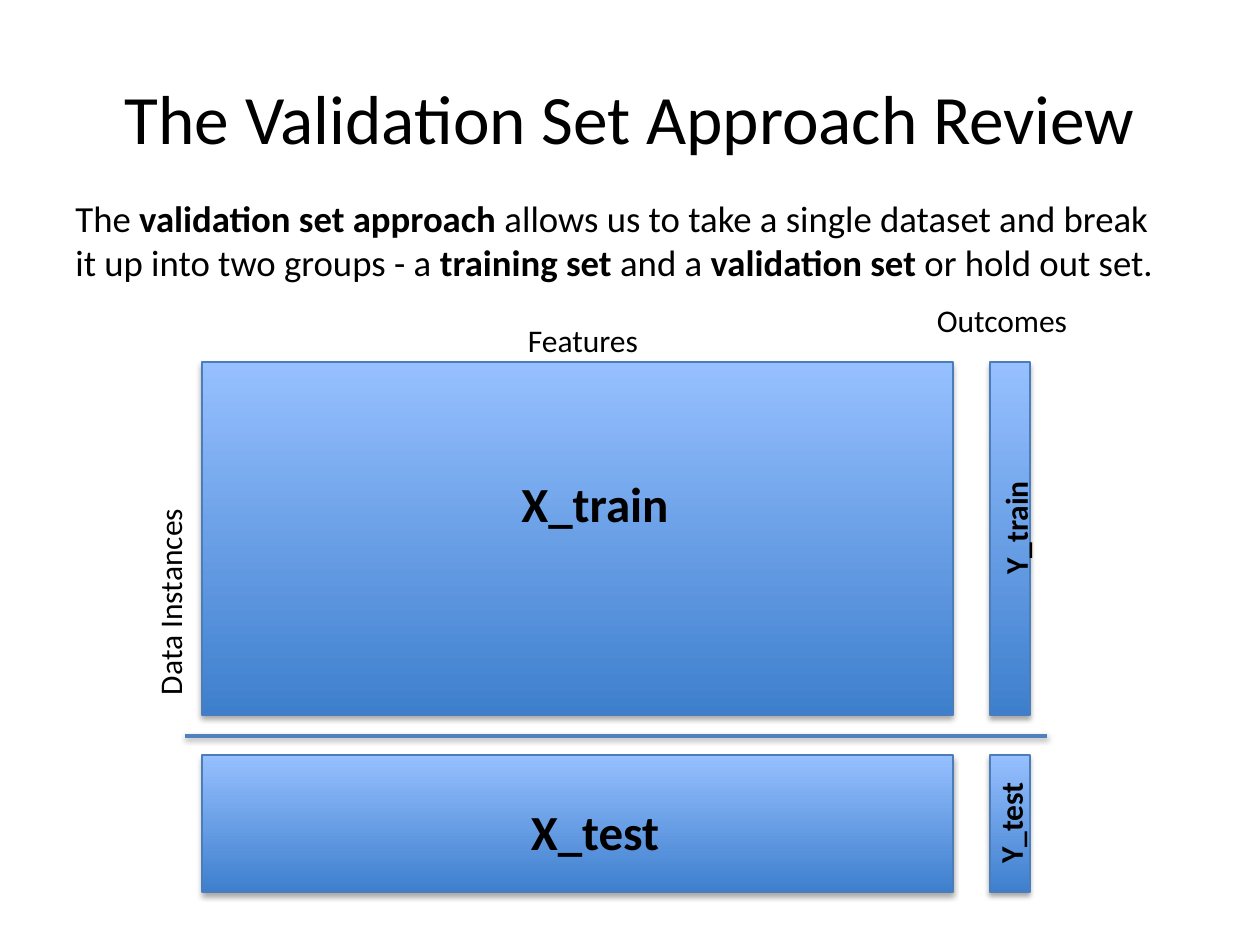
from dataclasses import dataclass

from lxml import etree
from pptx import Presentation
from pptx import util as u
from pptx.dml.color import RGBColor
from pptx.enum import shapes, text
from pptx.oxml.ns import qn

PX = u.Inches(1) / 126


def px(n):
    return u.Emu(round(n * PX))


@dataclass(frozen=True)
class Theme:
    font: str = "Calibri"
    ink: str = "000000"
    dark: str = "3E7FCD"
    light: str = "96C0FF"
    border: str = "4A7DBA"
    divider: str = "4F81BD"
    title: float = 39.6
    body: float = 21
    block: float = 28
    label: float = 18


class Deck:
    def __init__(self, theme):
        self.theme = theme
        self.prs = Presentation()
        self.prs.slide_width = px(1260)
        self.prs.slide_height = px(945)
        self.s = self.prs.slides.add_slide(self.prs.slide_layouts[6])

    def shadow(self, sp, distance, opacity):
        effects = etree.SubElement(sp._element.spPr, qn("a:effectLst"))
        outer = etree.SubElement(
            effects, qn("a:outerShdw"), blurRad=str(u.Pt(3.1)),
            dist=str(u.Pt(distance)), dir="5400000", rotWithShape="0")
        color = etree.SubElement(outer, qn("a:srgbClr"), val=self.theme.ink)
        etree.SubElement(color, qn("a:alpha"), val=str(opacity * 1000))

    def text(self, box, runs, size, bold=False, center=True, rotation=0,
             inset=6, anchor=text.MSO_ANCHOR.TOP,
             fit=text.MSO_AUTO_SIZE.SHAPE_TO_FIT_TEXT):
        sp = self.s.shapes.add_textbox(*map(px, box))
        sp.rotation = rotation
        tf = sp.text_frame
        tf.word_wrap = True
        tf.auto_size = fit
        tf.vertical_anchor = anchor
        tf.margin_left = tf.margin_right = u.Inches(0.1)
        tf.margin_top = tf.margin_bottom = px(inset)
        p = tf.paragraphs[0]
        p.alignment = text.PP_ALIGN.CENTER if center else text.PP_ALIGN.LEFT
        p.font.name = self.theme.font
        p.font.size = u.Pt(size)
        p.font.color.rgb = RGBColor.from_string(self.theme.ink)
        for words, strong in [(runs, bold)] if isinstance(runs, str) else runs:
            r = p.add_run()
            r.text = words
            r.font.bold = strong

    def block(self, x, y, w, h):
        sp = self.s.shapes.add_shape(
            shapes.MSO_SHAPE.RECTANGLE, *map(px, (x, y, w, h)))
        sp.fill.gradient()
        sp.fill.gradient_angle = 90
        colors = (self.theme.dark, self.theme.light)
        for stop, color in zip(sp.fill.gradient_stops, colors):
            stop.color.rgb = RGBColor.from_string(color)
        sp.line.color.rgb = RGBColor.from_string(self.theme.border)
        sp.line.width = u.Pt(0.75)
        self.shadow(sp, 1.8, 35)

    def divider(self, x1, x2, y):
        line = self.s.shapes.add_connector(
            shapes.MSO_CONNECTOR.STRAIGHT, *map(px, (x1, y, x2, y)))
        line.line.color.rgb = RGBColor.from_string(self.theme.divider)
        line.line.width = u.Pt(2)
        self.shadow(line, 1.6, 38)


def main():
    theme = Theme()
    deck = Deck(theme)
    deck.text((63, 38, 1134, 158), "The Validation Set Approach Review",
              theme.title, anchor=text.MSO_ANCHOR.MIDDLE,
              fit=text.MSO_AUTO_SIZE.NONE)
    deck.text((63, 183, 1103, 115), [
        ("The ", False),
        ("validation set approach", True),
        (" allows us to take a single dataset and break it up into two "
         "groups - a ", False),
        ("training set", True),
        (" and a ", False),
        ("validation set", True),
        (" or hold out set.", False),
    ], theme.body, center=False, inset=13)

    for y, h in ((362, 353), (755, 137)):
        for x, w in ((202, 751), (990, 40)):
            deck.block(x, y, w, h)
    deck.divider(185, 1047, 736)

    for words, box, rotation in (
        ("Features", (268, 315, 630, 50), 0),
        ("Data Instances", (-72, 577, 483, 50), 270),
        ("Outcomes", (914, 295, 176, 50), 0),
    ):
        deck.text(box, words, theme.label, rotation=rotation)

    for words, box, size, rotation in (
        ("X_train", (488, 467, 214, 72), theme.block, 0),
        ("Y_train", (888, 503, 255, 50), theme.label, 270),
        ("X_test", (488, 796, 214, 72), theme.block, 0),
        ("Y_test", (942, 798, 137, 50), theme.label, 270),
    ):
        deck.text(box, words, size, bold=True, rotation=rotation)
    deck.prs.save("out.pptx")


if __name__ == "__main__":
    main()
